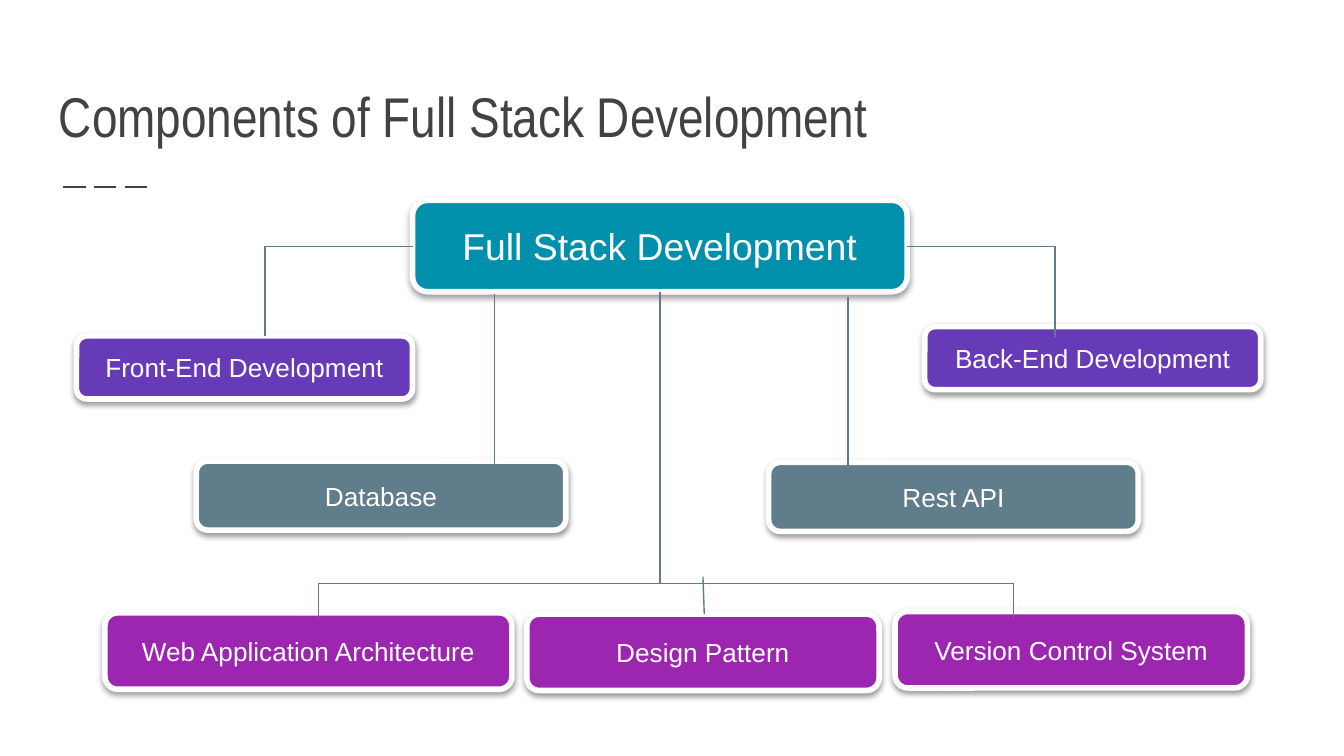
import pptx
import pptx.chart.data
import pptx.dml.color
import pptx.enum.dml
import pptx.enum.shapes
import pptx.enum.text
import pptx.oxml
import pptx.oxml.ns
import pptx.util
from lxml import etree

Pt = pptx.util.Pt

COLORS = {
    "text": "424242", "white": "FFFFFF", "line": "5D7B89",
    "root": "0090AC", "ends": "673AB7", "services": "607D8B", "practices": "9C26B0",
}

TITLE = "Components of Full Stack Development"

# text, colour, left, top, width, height, font size
BOXES = [
    ("Full Stack Development", "root", 221, 107.3, 265, 49, 20),
    ("Front-End Development", "ends", 41, 180, 180, 33.8, 14),
    ("Back-End Development", "ends", 495.4, 175, 180, 33.8, 14),
    ("Database", "services", 105.1, 247, 198, 37, 14),
    ("Rest API", "services", 411.8, 247.7, 198, 37, 14),
    ("Web Application Architecture", "practices", 56.2, 328.3, 218, 41, 14),
    ("Design Pattern", "practices", 282.2, 329, 188.8, 41, 14),
    ("Version Control System", "practices", 479.5, 327.6, 188.8, 41, 14),
]

# x1, y1, x2, y2
SHOULDER_Y, BUS_Y = 132, 312.5
LEFT_X, RIGHT_X = 142, 565.2
BUS_LEFT, BUS_RIGHT = 170.5, 543
CONNECTORS = [
    (221, SHOULDER_Y, LEFT_X, SHOULDER_Y),
    (RIGHT_X, SHOULDER_Y, 486, SHOULDER_Y),
    (LEFT_X, SHOULDER_Y, LEFT_X, 180),
    (RIGHT_X, SHOULDER_Y, RIGHT_X, 180.7),
    (265, 157.7, 265, 249),
    (454.3, 159, 454.3, 249.8),
    (353.5, 156.3, 353.5, BUS_Y),
    (BUS_LEFT, BUS_Y, BUS_RIGHT, BUS_Y),
    (BUS_LEFT, BUS_Y, BUS_LEFT, 331),
    (376.6, 309, 377.3, 329),
    (BUS_RIGHT, BUS_Y, BUS_RIGHT, 331),
]


def rgb(name):
    return pptx.dml.color.RGBColor.from_string(COLORS[name])


def write(tf, text, font, size, color):
    tf.text = text
    tf.word_wrap = True
    f = tf.paragraphs[0].runs[0].font
    f.name, f.size, f.color.rgb = font, Pt(size), rgb(color)


def add_shadow(s):
    """Soft dark shadow straight below the shape."""
    s.shadow.inherit = False
    effects = s._element.spPr.find(pptx.oxml.ns.qn("a:effectLst"))
    outer = etree.SubElement(
        effects, pptx.oxml.ns.qn("a:outerShdw"), blurRad=str(Pt(3.1)),
        dist=str(Pt(1.6)), dir="5400000", rotWithShape="0")
    color = etree.SubElement(outer, pptx.oxml.ns.qn("a:srgbClr"), val="000000")
    etree.SubElement(color, pptx.oxml.ns.qn("a:alpha"), val="38000")


def add_box(slide, text, color, left, top, width, height, size):
    s = slide.shapes.add_shape(
        pptx.enum.shapes.MSO_SHAPE.ROUNDED_RECTANGLE,
        Pt(left), Pt(top), Pt(width), Pt(height))
    s.fill.solid()
    s.fill.fore_color.rgb = rgb(color)
    s.line.color.rgb = rgb("white")
    s.line.width = Pt(3)
    add_shadow(s)
    tf = s.text_frame
    write(tf, text, "Arial", size, "white")
    tf.vertical_anchor = pptx.enum.text.MSO_ANCHOR.MIDDLE
    tf.paragraphs[0].alignment = pptx.enum.text.PP_ALIGN.CENTER


def add_line(slide, x1, y1, x2, y2, color="line", width=0.75):
    s = slide.shapes.add_connector(
        pptx.enum.shapes.MSO_CONNECTOR.STRAIGHT, Pt(x1), Pt(y1), Pt(x2), Pt(y2))
    s.line.color.rgb = rgb(color)
    s.line.width = Pt(width)
    etree.SubElement(s._element.spPr, pptx.oxml.ns.qn("a:effectLst"))
    return s


def add_title(slide):
    s = slide.shapes.add_textbox(Pt(24.5), Pt(29.5), Pt(671), Pt(57.6))
    tf = s.text_frame
    write(tf, TITLE, "Arial Narrow", 30, "text")
    tf.vertical_anchor = pptx.enum.text.MSO_ANCHOR.BOTTOM
    tf.margin_left = tf.margin_right = tf.margin_top = tf.margin_bottom = Pt(7.2)
    rule = add_line(slide, 33.8, 100.2, 82, 100.2, "text", 1.5)
    rule.line.dash_style = pptx.enum.dml.MSO_LINE.LONG_DASH


def main():
    prs = pptx.Presentation()
    prs.slide_width, prs.slide_height = Pt(720), Pt(405)
    slide = prs.slides.add_slide(prs.slide_layouts[6])
    add_title(slide)
    for box in BOXES:
        add_box(slide, *box)
    for ends in CONNECTORS:
        add_line(slide, *ends)
    prs.save("out.pptx")


if __name__ == "__main__":
    main()
